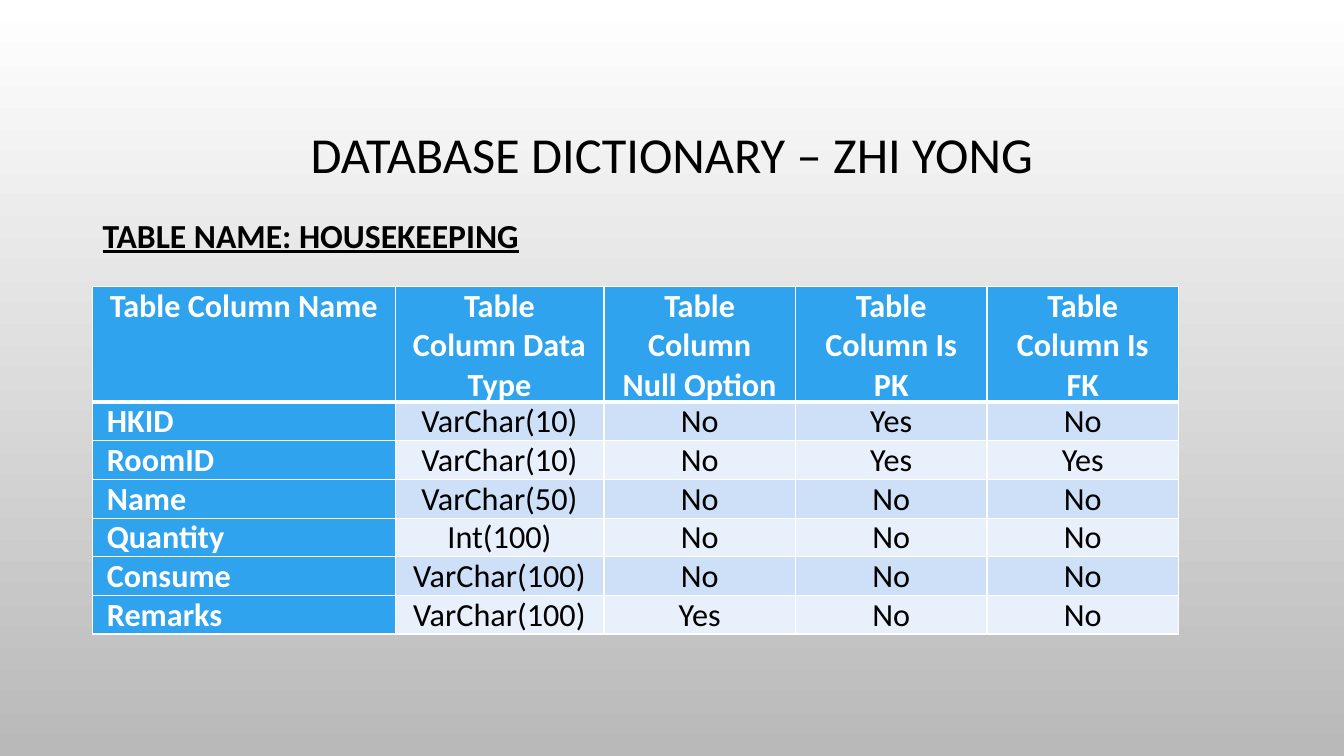
from lxml.etree import SubElement
from pptx import Presentation
from pptx.dml.color import RGBColor
from pptx.enum.text import MSO_ANCHOR, PP_ALIGN
from pptx.oxml.ns import qn
from pptx.util import Inches, Pt

COLORS = {
    "top": "FFFFFF",
    "bottom": "B9B9B9",
    "ink": "000000",
    "white": "FFFFFF",
    "blue": "2FA3EE",
    "odd": "CDE0F8",
    "even": "E8F0FC",
}
FONT = "Calibri"
COLUMN_WIDTHS = [3, 2.07, 1.9, 1.9, 1.9]
HEADER_HEIGHT, ROW_HEIGHT = 1.14, 0.38
ROWS = [
    ["Table Column Name", "Table Column Data Type", "Table Column Null Option",
     "Table Column Is PK", "Table Column Is FK"],
    ["HKID", "VarChar(10)", "No", "Yes", "No"],
    ["RoomID", "VarChar(10)", "No", "Yes", "Yes"],
    ["Name", "VarChar(50)", "No", "No", "No"],
    ["Quantity", "Int(100)", "No", "No", "No"],
    ["Consume", "VarChar(100)", "No", "No", "No"],
    ["Remarks", "VarChar(100)", "Yes", "No", "No"],
]


def color(name):
    return RGBColor.from_string(COLORS[name])


def style_font(font, size, name, bold=False, underline=False):
    font.name = FONT
    font.size = Pt(size)
    font.bold = bold
    font.underline = underline
    font.color.rgb = color(name)


def paint_background(page):
    fill = page.background.fill
    fill.gradient()
    fill.gradient_angle = 270
    for stop, name in zip(fill.gradient_stops, ("top", "bottom")):
        stop.color.rgb = color(name)


def add_heading(page, box, text, size, align, anchor, spacing, emphasis=False):
    frame = page.shapes.add_textbox(*map(Inches, box)).text_frame
    frame.word_wrap = True
    frame.vertical_anchor = anchor
    para = frame.paragraphs[0]
    para.text = text
    para.alignment = align
    para.line_spacing = spacing
    style_font(para.font, size, "ink", emphasis, emphasis)


def add_border(cell, side, width):
    line = SubElement(cell._tc.get_or_add_tcPr(), qn(f"a:ln{side}"), w=str(Pt(width)))
    fill = SubElement(line, qn("a:solidFill"))
    SubElement(fill, qn("a:srgbClr"), val=COLORS["white"])


def style_cell(cell, text, row, column):
    heading = row == 0 or column == 0
    for side in "LRTB":
        under_header = (row, side) in ((0, "B"), (1, "T"))
        add_border(cell, side, 3 if under_header else 1)
    cell.fill.solid()
    cell.fill.fore_color.rgb = color("blue" if heading else "odd" if row % 2 else "even")
    cell.margin_left = cell.margin_right = Inches(0.14)
    cell.margin_top = cell.margin_bottom = 0
    para = cell.text_frame.paragraphs[0]
    para.text = text
    para.alignment = PP_ALIGN.LEFT if row and column == 0 else PP_ALIGN.CENTER
    style_font(para.font, 23, "white" if heading else "ink", heading)


def add_dictionary_table(page, left, top):
    width = sum(COLUMN_WIDTHS)
    height = HEADER_HEIGHT + ROW_HEIGHT * (len(ROWS) - 1)
    table = page.shapes.add_table(
        len(ROWS), len(COLUMN_WIDTHS), *map(Inches, (left, top, width, height))).table
    for column, column_width in zip(table.columns, COLUMN_WIDTHS):
        column.width = Inches(column_width)
    for row, texts in enumerate(ROWS):
        table.rows[row].height = Inches(ROW_HEIGHT if row else HEADER_HEIGHT)
        for column, text in enumerate(texts):
            style_cell(table.cell(row, column), text, row, column)


def main():
    deck = Presentation()
    deck.slide_width, deck.slide_height = Inches(13.33), Inches(7.5)
    page = deck.slides.add_slide(deck.slide_layouts[6])
    paint_background(page)
    add_heading(page, (1, 0.68, 11.33, 1.75), "DATABASE DICTIONARY – ZHI YONG",
                36, PP_ALIGN.CENTER, MSO_ANCHOR.MIDDLE, 0.9)
    add_heading(page, (0.92, 2, 11.5, 4.76), "TABLE NAME: HOUSEKEEPING",
                24, PP_ALIGN.LEFT, MSO_ANCHOR.TOP, 1.2, emphasis=True)
    add_dictionary_table(page, 0.92, 2.84)
    deck.save("out.pptx")


if __name__ == "__main__":
    main()
